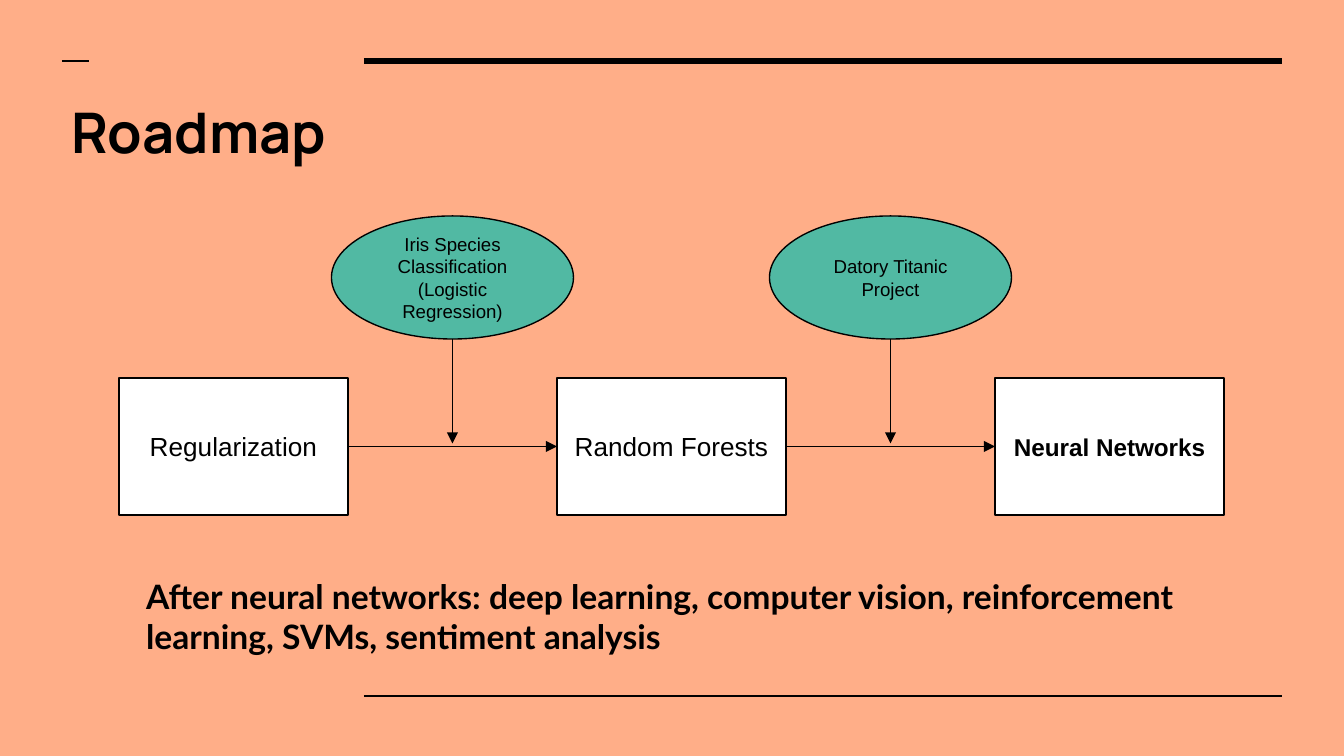
"""Build the course roadmap slide."""
from lxml import etree
from pptx import Presentation
from pptx import util as u
from pptx.dml.color import RGBColor
from pptx.enum import shapes, text
from pptx.oxml.ns import qn

PEACH = RGBColor(0xFF, 0xAE, 0x88)
TEAL = RGBColor(0x51, 0xB9, 0xA3)
WHITE = RGBColor(0xFF, 0xFF, 0xFF)
BLACK = RGBColor(0, 0, 0)

TITLE = "Roadmap"
TOPICS = [
    ("Regularization", {"size": u.Pt(14), "bold": False}),
    ("Random Forests", {"size": u.Pt(14), "bold": False}),
    ("Neural Networks", {"size": u.Pt(13), "bold": True}),
]
PROJECTS = ["Iris Species Classification (Logistic Regression)", "Datory Titanic Project"]
OUTLOOK = ("After neural networks: deep learning, computer vision, reinforcement "
           "learning, SVMs, sentiment analysis")
RULES = [(364, 1282, 61, 3), (364, 1282, 696, 1.5), (62, 89, 61, 1.5)]

SLIDE_W, SLIDE_H = 1344, 756
TOPIC_LEFT, TOPIC_TOP, TOPIC_W, TOPIC_H = 119, 378, 229, 137
PITCH = 438
PROJECT_TOP, PROJECT_W, PROJECT_H = 216, 242, 123
ARROW_GAP = 3
INSET = 13


def px(length):
    return u.Emu(round(length * 914400 / 134.4))


def write(holder, wording, anchor, align, font):
    frame = holder.text_frame
    margins = {f"margin_{side}": px(INSET) for side in ("left", "top", "right", "bottom")}
    for name, value in {**margins, "word_wrap": True, "vertical_anchor": anchor}.items():
        setattr(frame, name, value)
    paragraph = frame.paragraphs[0]
    paragraph.alignment = align
    run = paragraph.add_run()
    run.text = wording
    for name, value in font.items():
        setattr(run.font, name, value)
    run.font.color.rgb = BLACK


def add_label(slide, box, wording, font):
    label = slide.shapes.add_textbox(*map(px, box))
    write(label, wording, text.MSO_ANCHOR.TOP, text.PP_ALIGN.LEFT, font)


def add_node(slide, kind, box, fill, wording, font):
    node = slide.shapes.add_shape(kind, *map(px, box))
    node.shadow.inherit = False
    node.fill.solid()
    node.fill.fore_color.rgb = fill
    node.line.color.rgb = BLACK
    node.line.width = u.Pt(0.75)
    write(node, wording, text.MSO_ANCHOR.MIDDLE, text.PP_ALIGN.CENTER, {"name": "Arial", **font})
    return node


def add_line(slide, start, end, width=0.75, arrow=False):
    line = slide.shapes.add_connector(shapes.MSO_CONNECTOR.STRAIGHT, *map(px, start + end))
    line.line.color.rgb = BLACK
    line.line.width = u.Pt(width)
    if arrow:
        etree.SubElement(line.line._get_or_add_ln(), qn("a:tailEnd"), type="triangle")
    etree.SubElement(line._element.spPr, qn("a:effectLst"))
    return line


def main():
    deck = Presentation()
    deck.slide_width, deck.slide_height = px(SLIDE_W), px(SLIDE_H)
    slide = deck.slides.add_slide(deck.slide_layouts[6])
    slide.background.fill.solid()
    slide.background.fill.fore_color.rgb = PEACH

    for left, right, y, width in RULES:
        add_line(slide, (left, y), (right, y), width)
    add_label(slide, (58, 85, 929, 93), TITLE,
              {"name": "Manrope", "size": u.Pt(30), "bold": True})

    topics = [
        add_node(slide, shapes.MSO_SHAPE.RECTANGLE,
                 (TOPIC_LEFT + i * PITCH, TOPIC_TOP, TOPIC_W, TOPIC_H), WHITE, wording, font)
        for i, (wording, font) in enumerate(TOPICS)
    ]
    path_y = TOPIC_TOP + TOPIC_H / 2
    for i, project in enumerate(PROJECTS):
        start = TOPIC_LEFT + i * PITCH + TOPIC_W
        end = TOPIC_LEFT + (i + 1) * PITCH
        step = add_line(slide, (start, path_y), (end, path_y), arrow=True)
        step.begin_connect(topics[i], 3)
        step.end_connect(topics[i + 1], 1)

        middle = (start + end) / 2
        add_node(slide, shapes.MSO_SHAPE.OVAL,
                 (middle - PROJECT_W / 2, PROJECT_TOP, PROJECT_W, PROJECT_H),
                 TEAL, project, {"size": u.Pt(10)})
        add_line(slide, (middle, PROJECT_TOP + PROJECT_H), (middle, path_y - ARROW_GAP), arrow=True)

    add_label(slide, (133, 563, 1085, 122), OUTLOOK,
              {"name": "Lato", "size": u.Pt(18), "bold": True})
    deck.save("out.pptx")


if __name__ == "__main__":
    main()
